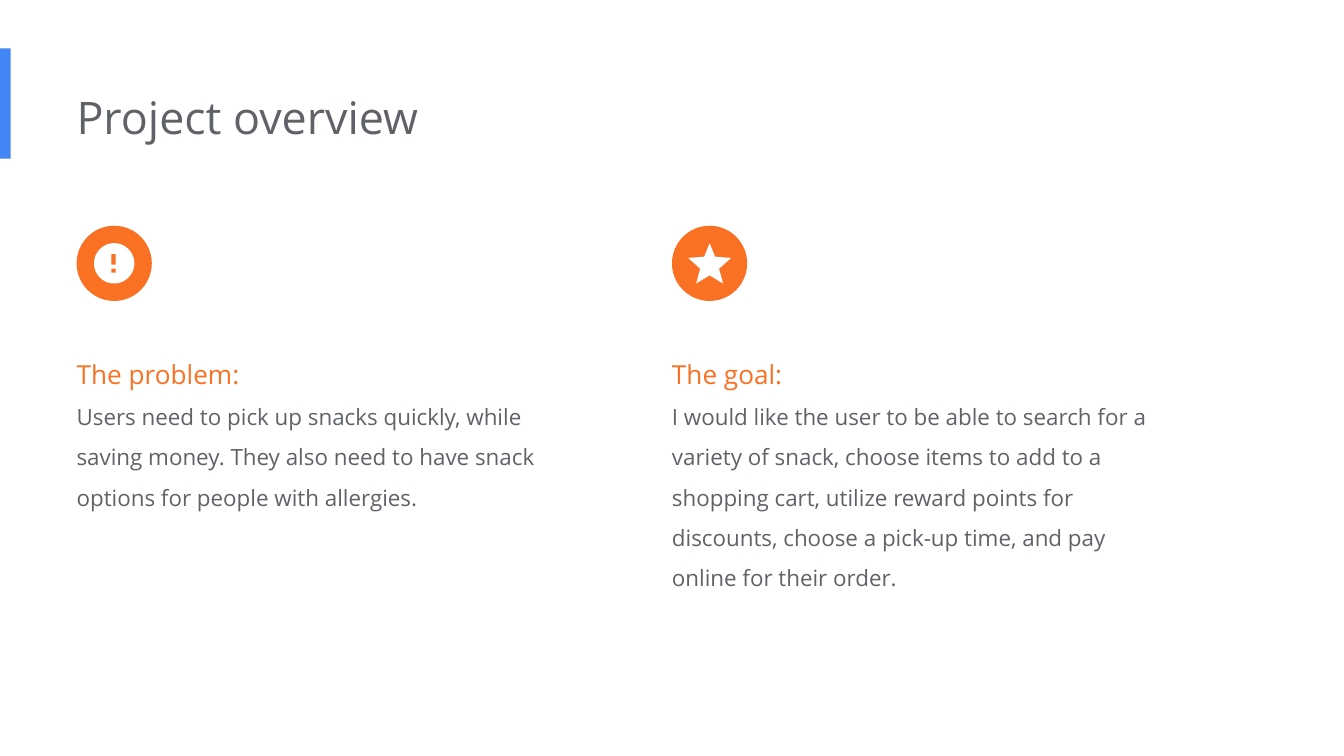
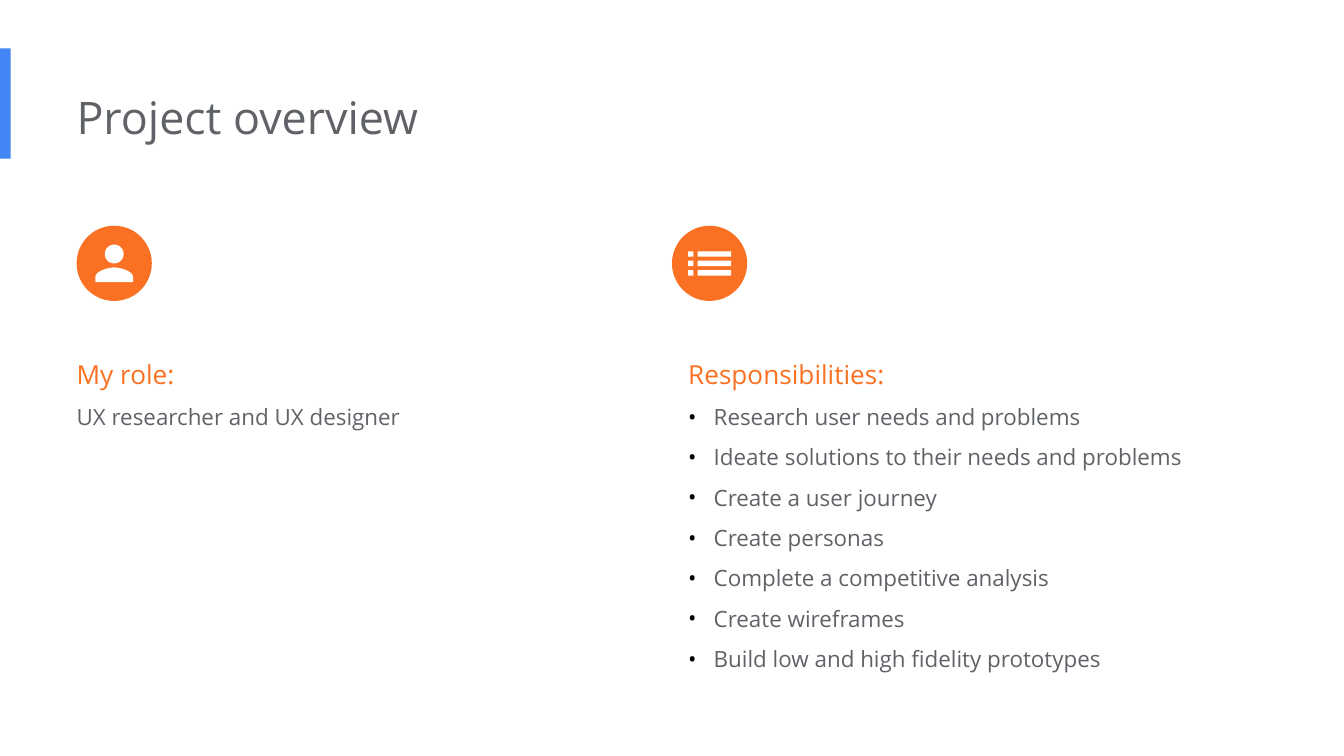
import math
from dataclasses import dataclass

import lxml.etree
import pptx
import pptx.dml.color
import pptx.enum.shapes
import pptx.enum.text
import pptx.oxml.ns
import pptx.util

Inches = pptx.util.Inches
Pt = pptx.util.Pt
RGBColor = pptx.dml.color.RGBColor
SHAPE = pptx.enum.shapes.MSO_SHAPE

BLUE = RGBColor(0x42, 0x85, 0xF4)
ORANGE = RGBColor(0xFA, 0x71, 0x23)
GREY = RGBColor(0x5F, 0x63, 0x68)
WHITE = RGBColor(0xFF, 0xFF, 0xFF)
BLACK = RGBColor(0x00, 0x00, 0x00)
FONT = "Open Sans"
LEFT, RIGHT = 0.57, 5.0
DOT_TOP, DOT_SIZE = 1.68, 0.56
TEXT_TOP = 2.45

Point = tuple[float, float]
Outline = list[Point]


@dataclass(frozen=True)
class Column:
    left: float
    icon: list[Outline]  # inches from the centre of the dot
    head: str
    lines: list[str]
    height: float
    text_left: float
    width: float = 3.77
    listed: bool = False


# Icon outlines
def box(left: float, top: float, right: float, base: float) -> Outline:
    return [(left, top), (left, base), (right, base), (right, top)]


def ring(y: float, radius: float, steps: int = 72) -> Outline:
    turns = [math.tau * i / steps for i in range(steps)]
    return [(radius * math.cos(t), y + radius * math.sin(t)) for t in turns]


def curve(a: Point, b: Point, c: Point, d: Point, steps: int = 16) -> Outline:
    def mix(axis: int, t: float) -> float:
        u = 1 - t
        return (u**3 * a[axis] + 3 * u * u * t * b[axis]
                + 3 * u * t * t * c[axis] + t**3 * d[axis])
    return [(mix(0, i / steps), mix(1, i / steps)) for i in range(steps + 1)]


def mirror(half: Outline) -> Outline:
    return half + [(-x, y) for x, y in reversed(half)]


ALERT = [ring(0, 0.15), box(-0.02, -0.07, 0.01, 0.01), box(-0.02, 0.04, 0.01, 0.07)]
STAR = [mirror([(0, -0.15), (0.04, -0.05), (0.16, -0.04),
                (0.07, 0.04), (0.1, 0.15), (0, 0.09)])]
PERSON = [ring(-0.07, 0.07),
          mirror(curve((0, 0.03), (0.05, 0.03), (0.14, 0.06), (0.14, 0.1))
                 + [(0.14, 0.14)])]
LIST = [box(left, top, right, top + 0.04)
        for top in (-0.09, -0.02, 0.05)
        for left, right in ((-0.16, -0.12), (-0.09, 0.16))]


# Drawing helpers
def paint(shape, color: RGBColor) -> None:
    shape.shadow.inherit = False
    shape.fill.solid()
    shape.fill.fore_color.rgb = color
    shape.line.fill.background()


def add_solid(slide, kind, left: float, top: float, width: float,
              height: float, color: RGBColor) -> None:
    paint(slide.shapes.add_shape(kind, Inches(left), Inches(top),
                                 Inches(width), Inches(height)), color)


def add_icon(slide, x: float, y: float, icon: list[Outline]) -> None:
    paths = [[(Inches(x + dx), Inches(y + dy)) for dx, dy in line] for line in icon]
    pen = slide.shapes.build_freeform(*paths[0][0])
    pen.add_line_segments(paths[0][1:], close=True)
    for path in paths[1:]:
        pen.move_to(*path[0])
        pen.add_line_segments(path[1:], close=True)
    paint(pen.convert_to_shape(), WHITE)


def add_frame(slide, left: float, top: float, width: float, height: float):
    frame = slide.shapes.add_textbox(Inches(left), Inches(top),
                                     Inches(width), Inches(height)).text_frame
    frame.word_wrap = True
    frame.auto_size = pptx.enum.text.MSO_AUTO_SIZE.SHAPE_TO_FIT_TEXT
    frame.margin_left = 0
    frame.margin_top = frame.margin_right = frame.margin_bottom = Inches(0.1)
    return frame


def add_run(para, text: str, size: int, color: RGBColor) -> None:
    run = para.add_run()
    run.text = text
    run.font.name = FONT
    run.font.size = Pt(size)
    run.font.color.rgb = color


def add_bullet(para) -> None:
    qn = pptx.oxml.ns.qn
    props = para._p.get_or_add_pPr()
    props.set("marL", str(Inches(0.19)))
    props.set("indent", str(-Inches(0.19)))
    tint = lxml.etree.SubElement(props, qn("a:buClr"))
    lxml.etree.SubElement(tint, qn("a:srgbClr"), val=str(BLACK))
    lxml.etree.SubElement(props, qn("a:buFont"), typeface=FONT)
    lxml.etree.SubElement(props, qn("a:buChar"), char="•")


# Slide parts
def add_column(slide, col: Column) -> None:
    add_solid(slide, SHAPE.OVAL, col.left, DOT_TOP, DOT_SIZE, DOT_SIZE, ORANGE)
    add_icon(slide, col.left + DOT_SIZE / 2, DOT_TOP + DOT_SIZE / 2, col.icon)
    frame = add_frame(slide, col.text_left, TEXT_TOP, col.width, col.height)
    head = frame.paragraphs[0]
    head.line_spacing = 1.5
    add_run(head, col.head, 14, ORANGE)
    for line in col.lines:
        para = frame.add_paragraph()
        if col.listed:
            add_bullet(para)
        para.line_spacing = 1.5
        add_run(para, line, 12, GREY)


def add_slide(deck, title: str, cols: list[Column]) -> None:
    slide = deck.slides.add_slide(deck.slide_layouts[6])
    add_solid(slide, SHAPE.RECTANGLE, 0, 0.36, 0.08, 0.82, BLUE)
    frame = add_frame(slide, LEFT, 0.57, 6.73, 0.61)
    add_run(frame.paragraphs[0], title, 24, GREY)
    for col in cols:
        add_column(slide, col)


SLIDES = [
    [
        Column(LEFT, ALERT, "The problem:", [
            "Users need to pick up snacks quickly, while saving money. "
            "They also need to have snack options for people with allergies.",
        ], 1.46, LEFT),
        Column(RIGHT, STAR, "The goal:", [
            "I would like the user to be able to search for a variety of snack, "
            "choose items to add to a shopping cart, utilize reward points for "
            "discounts, choose a pick-up time, and pay online for their order.",
        ], 2.07, RIGHT),
    ],
    [
        Column(LEFT, PERSON, "My role:", ["UX researcher and UX designer"], 0.86, LEFT),
        Column(RIGHT, LIST, "Responsibilities:", [
            "Research user needs and problems",
            "Ideate solutions to their needs and problems",
            "Create a user journey",
            "Create personas",
            "Complete a competitive analysis",
            "Create wireframes",
            "Build low and high fidelity prototypes",
        ], 2.98, 5.12, width=4.39, listed=True),
    ],
]


def main() -> None:
    deck = pptx.Presentation()
    deck.slide_width = Inches(10)
    deck.slide_height = Inches(10 * 9 / 16)
    for cols in SLIDES:
        add_slide(deck, "Project overview", cols)
    deck.save("out.pptx")


if __name__ == "__main__":
    main()
